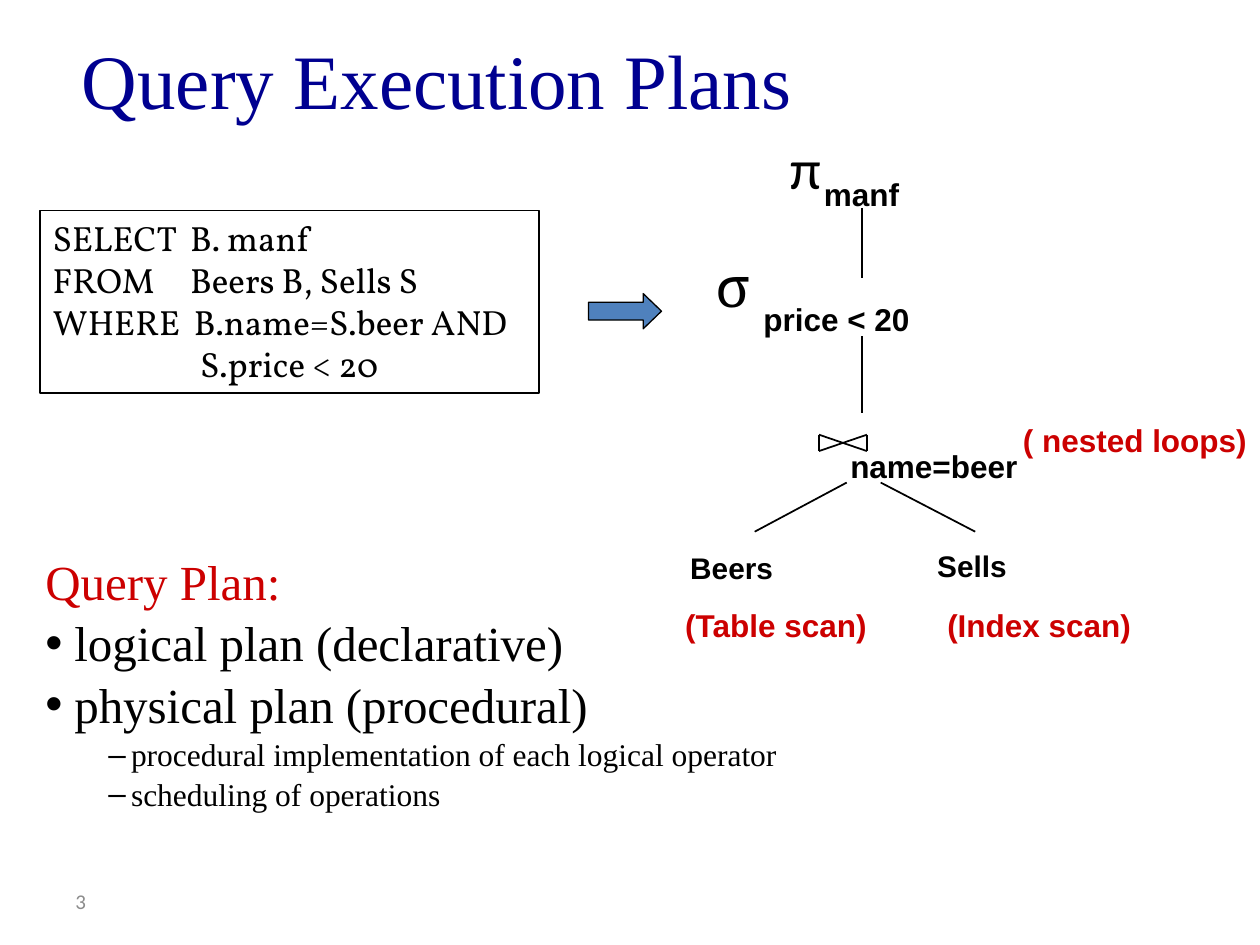
from typing import NamedTuple

from lxml import etree
from pptx import Presentation
from pptx.dml.color import RGBColor
from pptx.enum.shapes import MSO_CONNECTOR, MSO_SHAPE
from pptx.enum.text import MSO_ANCHOR, MSO_AUTO_SIZE, PP_ALIGN
from pptx.oxml.ns import qn
from pptx.util import Inches, Pt

BLACK = RGBColor(0, 0, 0)
NAVY = RGBColor(0x00, 0x00, 0x90)
RED = RGBColor(0xCC, 0x00, 0x00)
GRAY = RGBColor(0x8C, 0x8C, 0x8C)
BLUE = RGBColor(0x4F, 0x81, 0xBD)
STRAIGHT = MSO_CONNECTOR.STRAIGHT
RECTANGLE, RIGHT_ARROW = MSO_SHAPE.RECTANGLE, MSO_SHAPE.RIGHT_ARROW
TOP, MIDDLE = MSO_ANCHOR.TOP, MSO_ANCHOR.MIDDLE
LEFT = PP_ALIGN.LEFT
NO_FIT = MSO_AUTO_SIZE.NONE


class Label(NamedTuple):
    """A one-line text on the plan tree."""
    text: str
    left: float
    top: float
    width: float
    height: float = 0.4
    size: int = 18
    color: RGBColor = BLACK
    font: str = "Arial"
    bold: bool = True


class Line(NamedTuple):
    """A straight line between two points."""
    x1: float
    y1: float
    x2: float
    y2: float


class Item(NamedTuple):
    """A paragraph with its size, bullet, margin and hanging indent."""
    text: str
    size: int = 28
    color: RGBColor = BLACK
    bullet: str = ""
    margin: float = 0
    hang: float = 0
    level: int = 0


class Clause(NamedTuple):
    """A query line with a tab stop or a left margin."""
    text: str
    tab: float = 0
    margin: float = 0


LABELS = [
    Label("π", 6.17, 1.01, 0.45, 0.63, 32, font="Calibri", bold=False),
    Label("manf", 6.44, 1.34, 0.82),
    Label("σ", 5.58, 1.95, 0.47, 0.63, 32, font="Cambria", bold=False),
    Label("price < 20", 5.96, 2.33, 1.38),
    Label("name=beer", 6.65, 3.5, 1.58),
    Label("( nested loops)", 8.02, 3.29, 2, color=RED),
    Label("Beers", 5.38, 4.31, 0.87, 0.39, 17),
    Label("Sells", 7.34, 4.3, 0.76, 0.39, 17),
    Label("(Table scan)", 5.34, 4.76, 1.66, color=RED),
    Label("(Index scan)", 7.42, 4.76, 1.66, color=RED),
]
JOIN_LINES = [
    Line(6.5, 3.45, 6.5, 3.58),
    Line(6.88, 3.45, 6.88, 3.58),
    Line(6.5, 3.45, 6.88, 3.58),
    Line(6.5, 3.58, 6.88, 3.45),
]
TREE_LINES = [
    Line(6.84, 1.65, 6.84, 2.21),
    Line(6.84, 2.67, 6.84, 3.28),
    Line(6.72, 3.83, 5.99, 4.22),
    Line(6.99, 3.83, 7.74, 4.22),
]
CLAUSES = [
    Clause("SELECT\tB. manf", tab=1.09),
    Clause("FROM\tBeers B, Sells S", tab=1.09),
    Clause("WHERE\tB.name=S.beer AND", tab=1.12),
    Clause("S.price < 20", margin=1.17),
]
ITEMS = [
    Item("Query Plan:", color=RED),
    Item("logical plan (declarative)", bullet="•", margin=0.23, hang=0.23),
    Item("physical plan (procedural)", bullet="•", margin=0.23, hang=0.23),
    Item("procedural implementation of each logical operator", 18,
         bullet="–", margin=0.68, hang=0.18, level=1),
    Item("scheduling of operations", 18,
         bullet="–", margin=0.68, hang=0.18, level=1),
]


def write(para, text: str, *, size: int, font: str, color=BLACK, bold=False) -> None:
    """Add formatted text to a paragraph."""
    span = para.add_run()
    span.text = text
    span.font.size, span.font.name, span.font.bold = Pt(size), font, bold
    span.font.color.rgb = color


def place(shape, left: float, top: float, width: float, height: float) -> None:
    """Move and size a shape."""
    shape.left, shape.top = Inches(left), Inches(top)
    shape.width, shape.height = Inches(width), Inches(height)


def paragraph(frame, index: int):
    """Return the first paragraph, or a new one after it."""
    return frame.add_paragraph() if index else frame.paragraphs[0]


def add_label(page, label: Label, anchor=TOP) -> None:
    """Draw a label."""
    box = page.shapes.add_textbox(0, 0, 0, 0)
    place(box, label.left, label.top, label.width, label.height)
    frame = box.text_frame
    frame.word_wrap, frame.vertical_anchor = False, anchor
    write(frame.paragraphs[0], label.text, size=label.size, font=label.font,
          color=label.color, bold=label.bold)


def add_line(page, line: Line) -> None:
    """Draw a thin black line."""
    connector = page.shapes.add_connector(STRAIGHT, *map(Inches, line))
    connector.line.color.rgb, connector.line.width = BLACK, Pt(1)
    properties = connector._element.find(qn("p:spPr"))
    etree.SubElement(properties, qn("a:effectLst"))


def add_outlined(page, kind, left, top, width, height, weight: float):
    """Draw a preset shape with a black outline and no fill."""
    shape = page.shapes.add_shape(kind, *map(Inches, (left, top, width, height)))
    shape.shadow.inherit = False
    shape.fill.background()
    shape.line.color.rgb, shape.line.width = BLACK, Pt(weight)
    return shape


def add_query(page) -> None:
    """Draw the framed query."""
    frame = add_outlined(page, RECTANGLE, 0.32, 1.67, 3.96, 1.45, 1).text_frame
    frame.word_wrap, frame.vertical_anchor = False, TOP
    for index, clause in enumerate(CLAUSES):
        para = paragraph(frame, index)
        para.alignment = LEFT
        properties = para._p.get_or_add_pPr()
        properties.set("marL", str(Inches(clause.margin)))
        if clause.tab:
            stops = etree.SubElement(properties, qn("a:tabLst"))
            etree.SubElement(stops, qn("a:tab"), pos=str(Inches(clause.tab)), algn="l")
        write(para, clause.text, size=20, font="Vollkorn")


def fill_list(body) -> None:
    """Write the bulleted list into the body placeholder."""
    place(body, 0.26, 4.3, 9.5, 2.12)
    frame = body.text_frame
    frame.auto_size, frame.word_wrap = NO_FIT, True
    for index, item in enumerate(ITEMS):
        para = paragraph(frame, index)
        para.level, para.space_before, para.line_spacing = item.level, Pt(0), 1.05
        properties = para._p.get_or_add_pPr()
        properties.set("marL", str(Inches(item.margin)))
        properties.set("indent", str(-Inches(item.hang)))
        if item.bullet:
            etree.SubElement(properties, qn("a:buChar"), char=item.bullet)
        else:
            etree.SubElement(properties, qn("a:buNone"))
        write(para, item.text, size=item.size, font="Times New Roman", color=item.color)


def main() -> None:
    """Build and save the deck."""
    deck = Presentation()
    deck.slide_width, deck.slide_height = Inches(10), Inches(7.5)
    page = deck.slides.add_slide(deck.slide_layouts[1])
    title, body = page.placeholders
    place(title, 0.55, 0, 8.5, 1.25)
    title.text_frame.vertical_anchor = MIDDLE
    heading = title.text_frame.paragraphs[0]
    heading.alignment = LEFT
    write(heading, "Query Execution Plans", size=44, font="Times New Roman", color=NAVY)
    fill_list(body)
    add_query(page)
    arrow = add_outlined(page, RIGHT_ARROW, 4.67, 2.33, 0.58, 0.28, 0.75)
    arrow.fill.solid()
    arrow.fill.fore_color.rgb = BLUE
    arrow.adjustments[1] = 0.52
    for line in JOIN_LINES + TREE_LINES:
        add_line(page, line)
    for label in LABELS:
        add_label(page, label)
    number = Label("3", 0.5, 6.95, 2.33, 0.4, 12, GRAY, "Calibri", False)
    add_label(page, number, anchor=MIDDLE)
    deck.save("out.pptx")


main()
